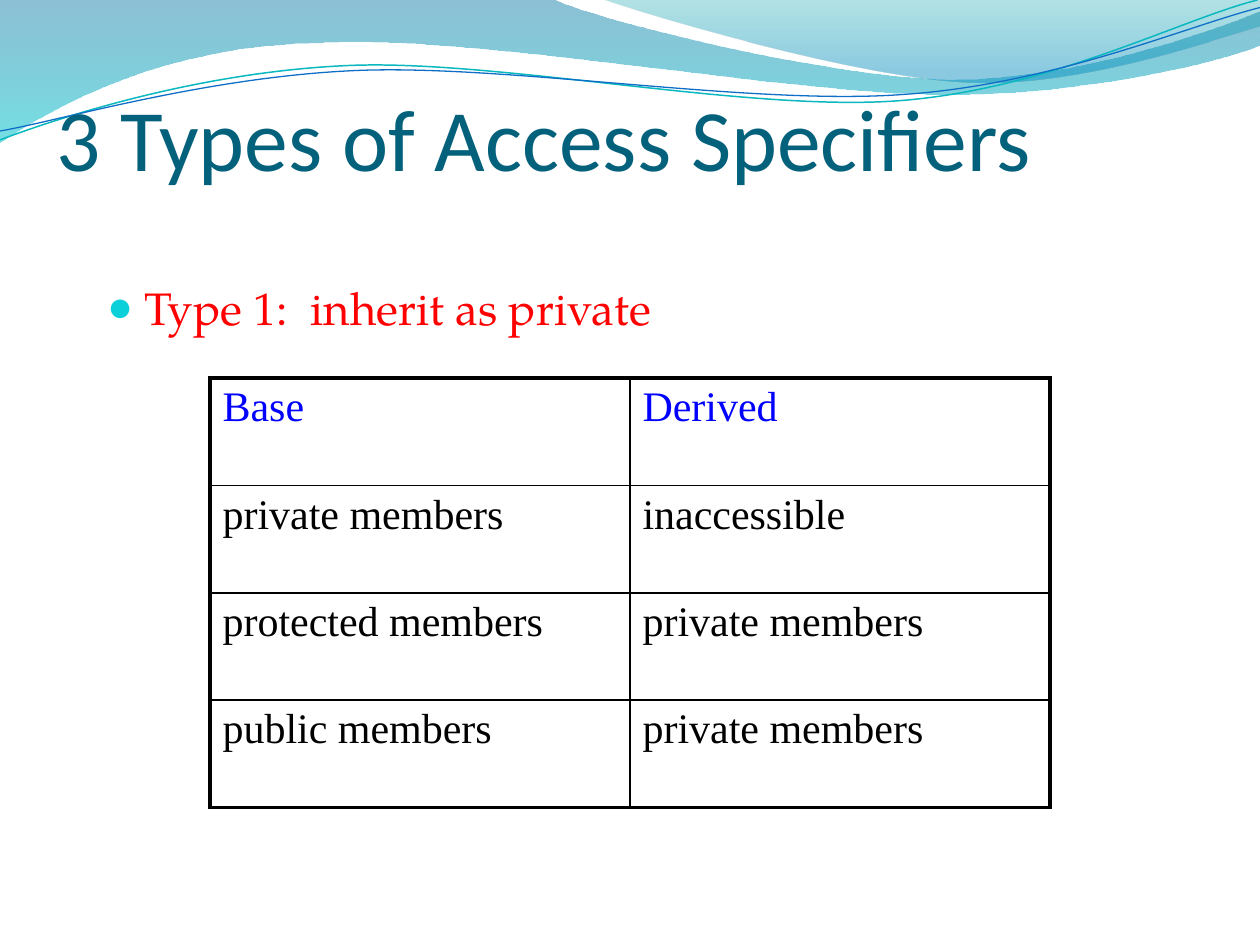
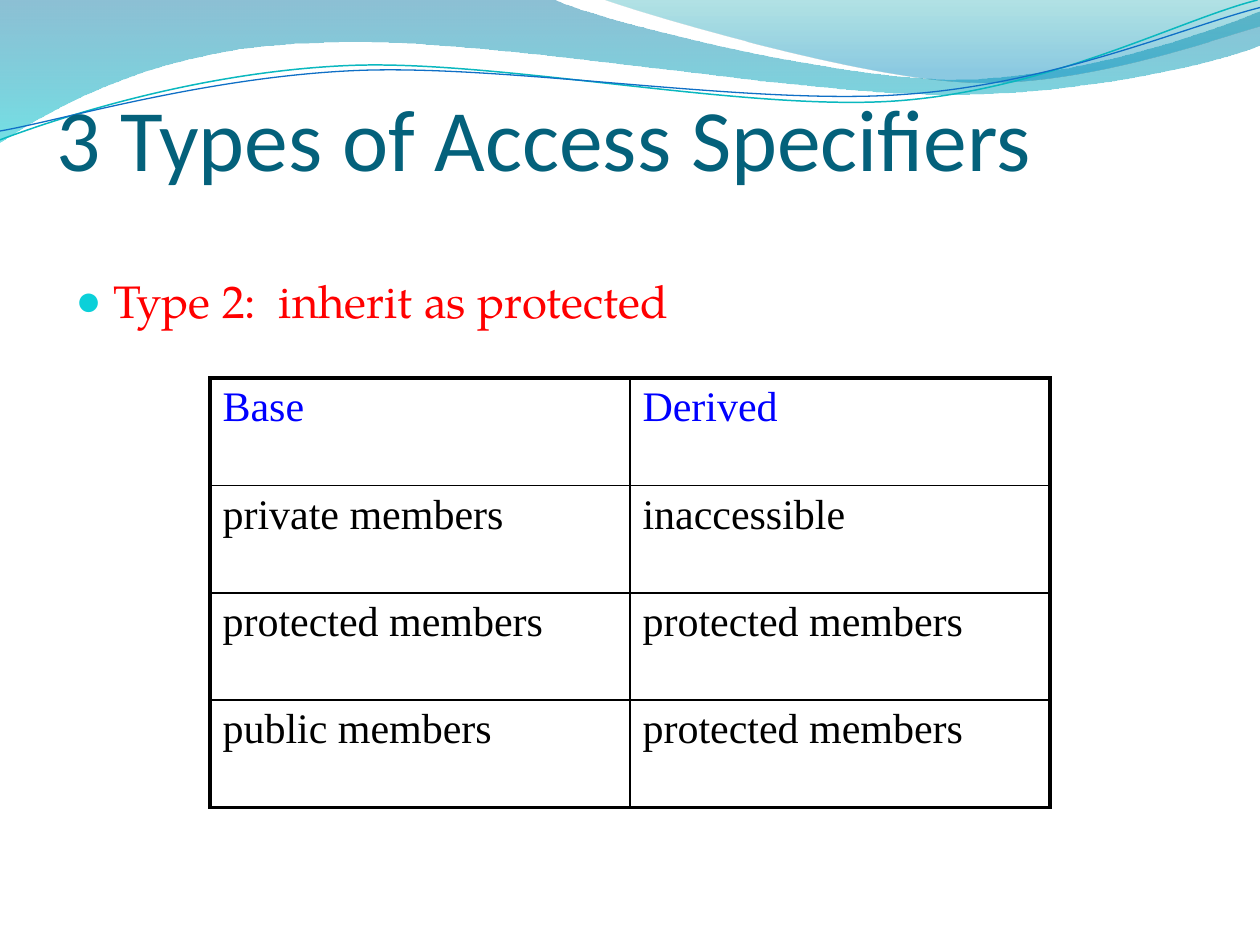
from lxml import etree
from pptx import Presentation
from pptx.dml.color import RGBColor
from pptx.enum.text import MSO_ANCHOR as Anchor, MSO_AUTO_SIZE as AutoSize, PP_ALIGN as Align
from pptx.oxml.ns import qn
from pptx.util import Inches, Pt

TITLE_COLOR, BULLET_COLOR, TYPE_COLOR = "04617B", "0BD0D9", "FF0000"
HEADER_COLOR, CELL_COLOR, BORDER_COLOR = "0000FF", "000000", "000000"
TITLE_FONT, BODY_FONT, TABLE_FONT = "Calibri", "TeX Gyre Pagella", "Times New Roman"

# Each wave is a start point, then segments: one point is a line, three are a Bezier curve.
# Gradient stops are position, colour and opacity in percent.
WAVES = [
    dict(start=(0, 0), segments=[
        [(4.4, 0)],
        [(4.76, 0.17), (6.64, 0.63), (7.58, 0.63)],
        [(8.53, 0.63), (9.58, 0.26), (10, 0.09)],
        [(10, 0.36)],
        [(9.83, 0.44), (8.7, 0.76), (7.46, 0.75)],
        [(6.22, 0.75), (3.82, 0.28), (2.57, 0.34)],
        [(1.29, 0.36), (0.46, 0.83), (0, 1.13)]],
        gradient=[(0, "0074A1", 45), (100, "00C6CF", 55)]),
    dict(start=(4.79, 0), segments=[
        [(5.09, 0.11), (6.82, 0.62), (7.69, 0.65)],
        [(8.56, 0.69), (9.61, 0.32), (10, 0.21)],
        [(10, 0)]],
        gradient=[(0, "00A1A9", 30), (80, "008BBF", 45)]),
    dict(start=(0, 1.11), segments=[
        [(0.48, 0.93), (1.58, 0.57), (2.77, 0.52)],
        [(3.95, 0.47), (5.93, 0.89), (7.13, 0.8)],
        [(8.33, 0.71), (9.38, 0.15), (9.98, 0)]],
        line=("0AB8BF", 0.85)),
    dict(start=(0, 1.04), segments=[
        [(0.47, 0.96), (1.64, 0.61), (2.83, 0.56)],
        [(4.03, 0.51), (5.97, 0.84), (7.17, 0.75)],
        [(8.36, 0.67), (9.41, 0.21), (10, 0.06)]],
        line=("0F6FC6", 0.75)),
]

BASE_MEMBERS = ["private members", "protected members", "public members"]
SLIDES = [
    dict(heading="Type 1:  inherit as private", title_width=9.06, body=(0.75, 2.17, 8.83, 4.5),
         derived=["inaccessible", "private members", "private members"]),
    dict(heading="Type 2:  inherit as protected", title_width=9.14, body=(0.5, 2.12, 9, 4.8),
         derived=["inaccessible", "protected members", "protected members"]),
]


def add_run(paragraph, text, font_name, size, color):
    run = paragraph.add_run()
    run.text = text
    run.font.name, run.font.size = font_name, Pt(size)
    run.font.color.rgb = RGBColor.from_string(color)


def add_curved_freeform(slide, start, segments, close):
    """Build the outline from straight lines, then join each group of three into a Bezier curve."""
    points = [(Inches(x), Inches(y)) for segment in segments for x, y in segment]
    builder = slide.shapes.build_freeform(Inches(start[0]), Inches(start[1]), scale=1.0)
    builder.add_line_segments(points, close=close)
    shape = builder.convert_to_shape()
    lines = iter(shape.element.findall(".//" + qn("a:lnTo")))
    for segment in segments:
        group = [next(lines) for _ in segment]
        if len(group) == 3:
            curve = etree.Element(qn("a:cubicBezTo"))
            group[0].addprevious(curve)
            for line in group:
                curve.append(line[0])
                line.getparent().remove(line)
    return shape


presentation = Presentation()
presentation.slide_width, presentation.slide_height = Inches(10), Inches(7.5)

for content in SLIDES:
    slide = presentation.slides.add_slide(presentation.slide_layouts[1])

    # Waves, behind everything else
    for index, wave in enumerate(WAVES):
        shape = add_curved_freeform(slide, wave["start"], wave["segments"], "gradient" in wave)
        shape.shadow.inherit = False
        if "gradient" in wave:
            shape.line.fill.background()
            shape.fill.gradient()
            shape.fill.gradient_angle = 270
            for stop, (position, color, _) in zip(shape.fill.gradient_stops, wave["gradient"]):
                stop.position = position / 100
                stop.color.rgb = RGBColor.from_string(color)
            color_elements = shape.element.spPr.findall(".//" + qn("a:srgbClr"))
            for color_element, (_, _, opacity) in zip(color_elements, wave["gradient"]):
                etree.SubElement(color_element, qn("a:alpha"), val=str(opacity * 1000))
        else:
            color, width = wave["line"]
            shape.fill.background()
            shape.line.color.rgb = RGBColor.from_string(color)
            shape.line.width = Pt(width)
        slide.shapes.element.insert(2 + index, shape.element)

    # Title
    title = slide.shapes.title
    title.left, title.top = Inches(0.45), Inches(0.25)
    title.width, title.height = Inches(content["title_width"]), Inches(1.25)
    frame = title.text_frame
    frame.auto_size, frame.vertical_anchor = AutoSize.NONE, Anchor.BOTTOM
    frame.margin_left = frame.margin_right = frame.margin_bottom = 0
    frame.margin_top = Inches(0.05)
    frame.paragraphs[0].alignment = Align.LEFT
    add_run(frame.paragraphs[0], "3 Types of Access Specifiers", TITLE_FONT, 50, TITLE_COLOR)

    # Inheritance type
    body = slide.placeholders[1]
    body.left, body.top, body.width, body.height = map(Inches, content["body"])
    body.text_frame.auto_size = AutoSize.NONE
    paragraph = body.text_frame.paragraphs[0]
    paragraph.space_before = Pt(0)
    properties = paragraph._p.get_or_add_pPr()
    properties.set("marL", str(Inches(0.3)))
    properties.set("indent", str(Inches(-0.3)))
    bullet_color = etree.SubElement(properties, qn("a:buClr"))
    etree.SubElement(bullet_color, qn("a:srgbClr"), val=BULLET_COLOR)
    etree.SubElement(properties, qn("a:buSzPct"), val="95000")
    etree.SubElement(properties, qn("a:buChar"), char="●")
    add_run(paragraph, content["heading"], BODY_FONT, 26, TYPE_COLOR)

    # Access table, centred across two thirds of the slide
    rows = [("Base", "Derived"), *zip(BASE_MEMBERS, content["derived"])]
    table = slide.shapes.add_table(len(rows), 2, Inches(10 / 6), Inches(3),
                                   Inches(20 / 3), Inches(3.41)).table
    table.first_row = table.horz_banding = False
    for row_index, row in enumerate(rows):
        for column_index, text in enumerate(row):
            cell = table.cell(row_index, column_index)
            color = HEADER_COLOR if row_index == 0 else CELL_COLOR
            add_run(cell.text_frame.paragraphs[0], text, TABLE_FONT, 24, color)
            outer_sides = {"lnL": column_index == 0, "lnR": column_index == 1,
                           "lnT": row_index == 0, "lnB": row_index == len(rows) - 1}
            cell_properties = cell._tc.get_or_add_tcPr()
            for side, is_outer in outer_sides.items():
                border = etree.SubElement(cell_properties, qn(f"a:{side}"),
                                          w=str(Pt(2.25 if is_outer else 1)))
                border_fill = etree.SubElement(border, qn("a:solidFill"))
                etree.SubElement(border_fill, qn("a:srgbClr"), val=BORDER_COLOR)
            cell.fill.background()

presentation.save("out.pptx")
